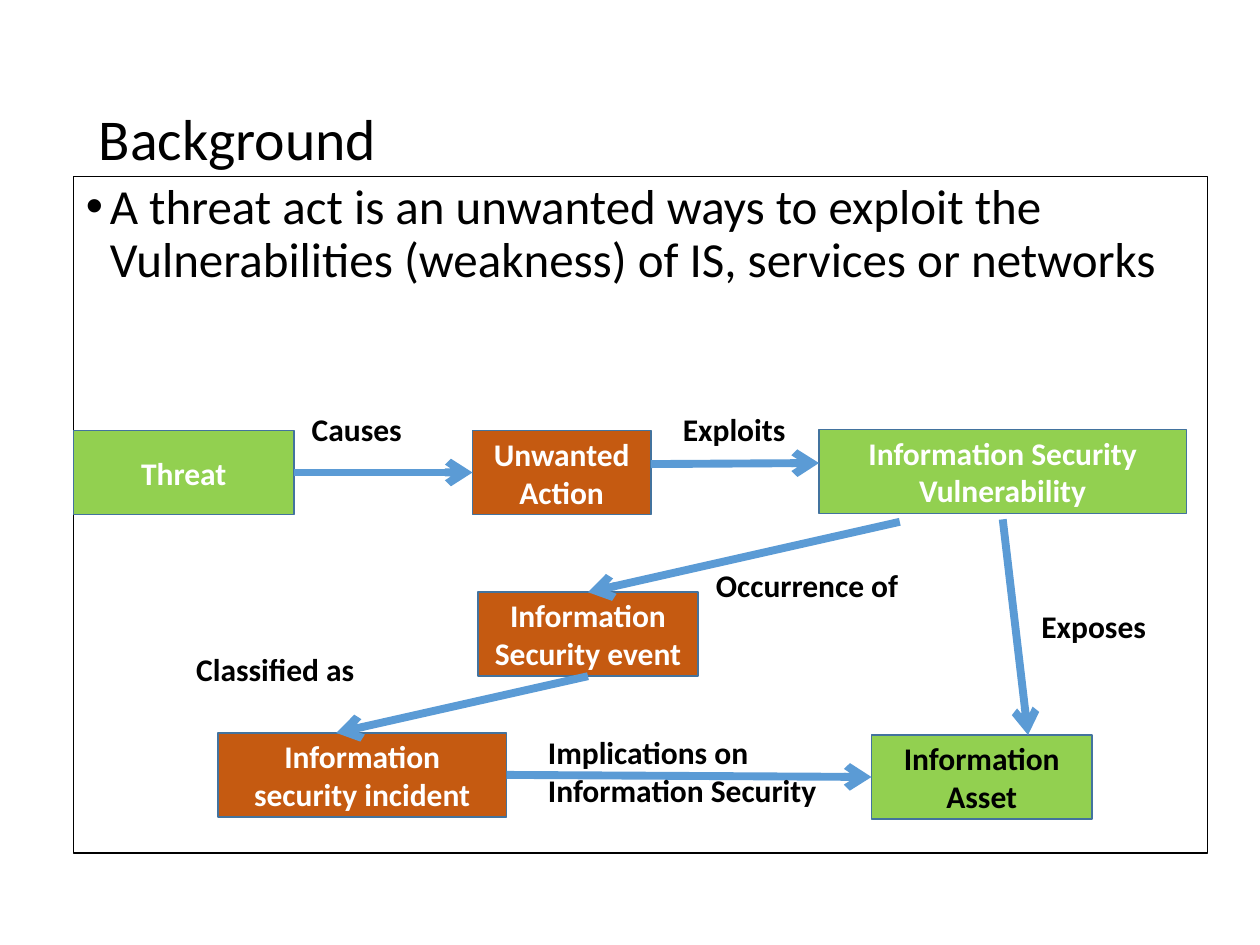
from lxml import etree
from pptx import Presentation, util as u
from pptx.dml.color import RGBColor
from pptx.enum import shapes, text
from pptx.oxml.ns import qn

FONT = "Calibri"
COLORS = {"green": "92D050", "orange": "C55A11", "edge": "43739E",
          "arrow": "5B9BD5", "black": "000000", "white": "FFFFFF"}

# Places are in cells of a grid of 240 columns by 180 rows.
COLUMNS, ROWS = 240, 180
WIDTH, HEIGHT = u.Inches(10), u.Inches(7.5)
NODE_ROWS, LABEL_ROWS = 16, 9.7

TITLE = ("Background", (16.5, 9.6, 207, 34.8))
BODY = ("A threat act is an unwanted ways to exploit the Vulnerabilities "
        "(weakness) of IS, services or networks", (14, 33.6, 216, 128.9))

# name: (words, fill, words' colour, column, row, columns wide)
NODES = {
    "threat": ("Threat", "green", "white", 14, 82, 42),
    "action": ("Unwanted Action", "orange", "white", 90, 82, 34),
    "vulnerability": ("Information Security Vulnerability", "green", "white", 156, 81.8, 70),
    "event": ("Information Security event", "orange", "white", 91, 112.8, 42),
    "incident": ("Information security incident", "orange", "white", 41.5, 139.6, 55),
    "asset": ("Information Asset", "green", "black", 166, 140, 42),
}

# (node, share across, share down) at each end
ARROWS = [
    (("threat", 1, 0.5), ("action", 0, 0.5)),
    (("action", 1, 0.4), ("vulnerability", 0, 0.4)),
    (("vulnerability", 0.5, 1.07), ("asset", 0.71, 0)),
    (("vulnerability", 0.22, 1.1), ("event", 0.5, 0)),
    (("event", 0.5, 1), ("incident", 0.41, 0)),
    (("incident", 1, 0.5), ("asset", 0, 0.5)),
]

# (words, column, row, columns wide, lines)
LABELS = [
    ("Causes", 57, 77, 30, 1),
    ("Exploits", 127.7, 77, 30, 1),
    ("Classified as", 35, 122.6, 44, 1),
    ("Implications on Information Security", 102, 138.5, 64, 2),
    ("Exposes", 196, 114.5, 30, 1),
    ("Occurrence of", 134, 106.6, 44, 1),
]


def color(name):
    return RGBColor.from_string(COLORS[name])


def grid(column, row):
    return round(WIDTH * column / COLUMNS), round(HEIGHT * row / ROWS)


def place(column, row, columns, rows):
    return *grid(column, row), *grid(columns, rows)


def write(box, words, size, ink="black", bold=False,
          align=text.PP_ALIGN.LEFT, anchor=text.MSO_ANCHOR.TOP):
    frame = box.text_frame
    frame.word_wrap = True
    frame.vertical_anchor = anchor
    para = frame.paragraphs[0]
    para.alignment = align
    span = para.add_run()
    span.text = words
    span.font.name, span.font.size, span.font.bold = FONT, u.Pt(size), bold
    span.font.color.rgb = color(ink)
    return para


def add_box(page, spot, edge, width, fill=None):
    box = page.shapes.add_shape(shapes.MSO_SHAPE.RECTANGLE, *spot)
    box.shadow.inherit = False
    if fill:
        box.fill.solid()
        box.fill.fore_color.rgb = color(fill)
    else:
        box.fill.background()
    box.line.color.rgb = color(edge)
    box.line.width = u.Pt(width)
    return box


def add_bullet(para):
    """Give the paragraph a hanging bullet."""
    props = para._p.get_or_add_pPr()
    props.set("marL", str(u.Inches(0.19)))
    props.set("indent", str(-u.Inches(0.19)))
    etree.SubElement(props, qn("a:buFont")).set("typeface", "Arial")
    etree.SubElement(props, qn("a:buChar")).set("char", "•")


def node_point(name, across, down):
    column, row, columns = NODES[name][3:]
    return grid(column + columns * across, row + NODE_ROWS * down)


def add_arrow(page, start, end):
    arrow = page.shapes.add_connector(
        shapes.MSO_CONNECTOR.STRAIGHT, *node_point(*start), *node_point(*end))
    arrow.line.color.rgb = color("arrow")
    arrow.line.width = u.Pt(4.5)
    etree.SubElement(arrow.line._get_or_add_ln(), qn("a:tailEnd")).set("type", "arrow")
    etree.SubElement(arrow._element.spPr, qn("a:effectLst"))


def main():
    deck = Presentation()
    deck.slide_width, deck.slide_height = WIDTH, HEIGHT
    page = deck.slides.add_slide(deck.slide_layouts[6])

    words, spot = TITLE
    title = page.shapes.add_textbox(*place(*spot))
    write(title, words, 33, anchor=text.MSO_ANCHOR.MIDDLE).line_spacing = 0.9

    words, spot = BODY
    para = write(add_box(page, place(*spot), "black", 0), words, 28)
    add_bullet(para)
    para.line_spacing = 0.9

    for words, fill, ink, column, row, columns in NODES.values():
        box = add_box(page, place(column, row, columns, NODE_ROWS), "edge", 1, fill)
        write(box, words, 18, ink, True, text.PP_ALIGN.CENTER, text.MSO_ANCHOR.MIDDLE)

    for start, end in ARROWS:
        add_arrow(page, start, end)

    for words, column, row, columns, lines in LABELS:
        rows = LABEL_ROWS + 7.3 * (lines - 1)
        label = page.shapes.add_textbox(*place(column, row, columns, rows))
        write(label, words, 18, bold=True)

    deck.save("out.pptx")


if __name__ == "__main__":
    main()
